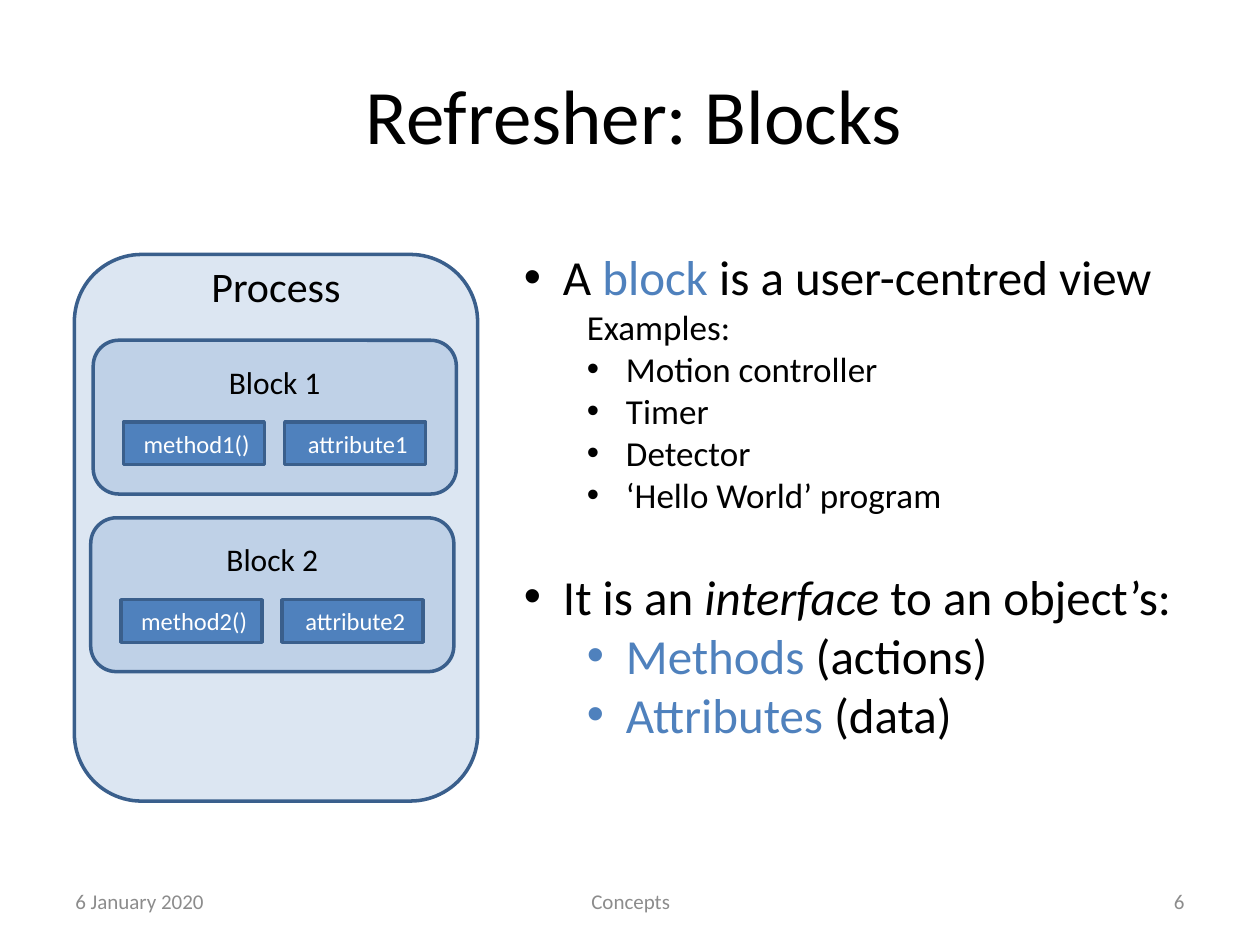
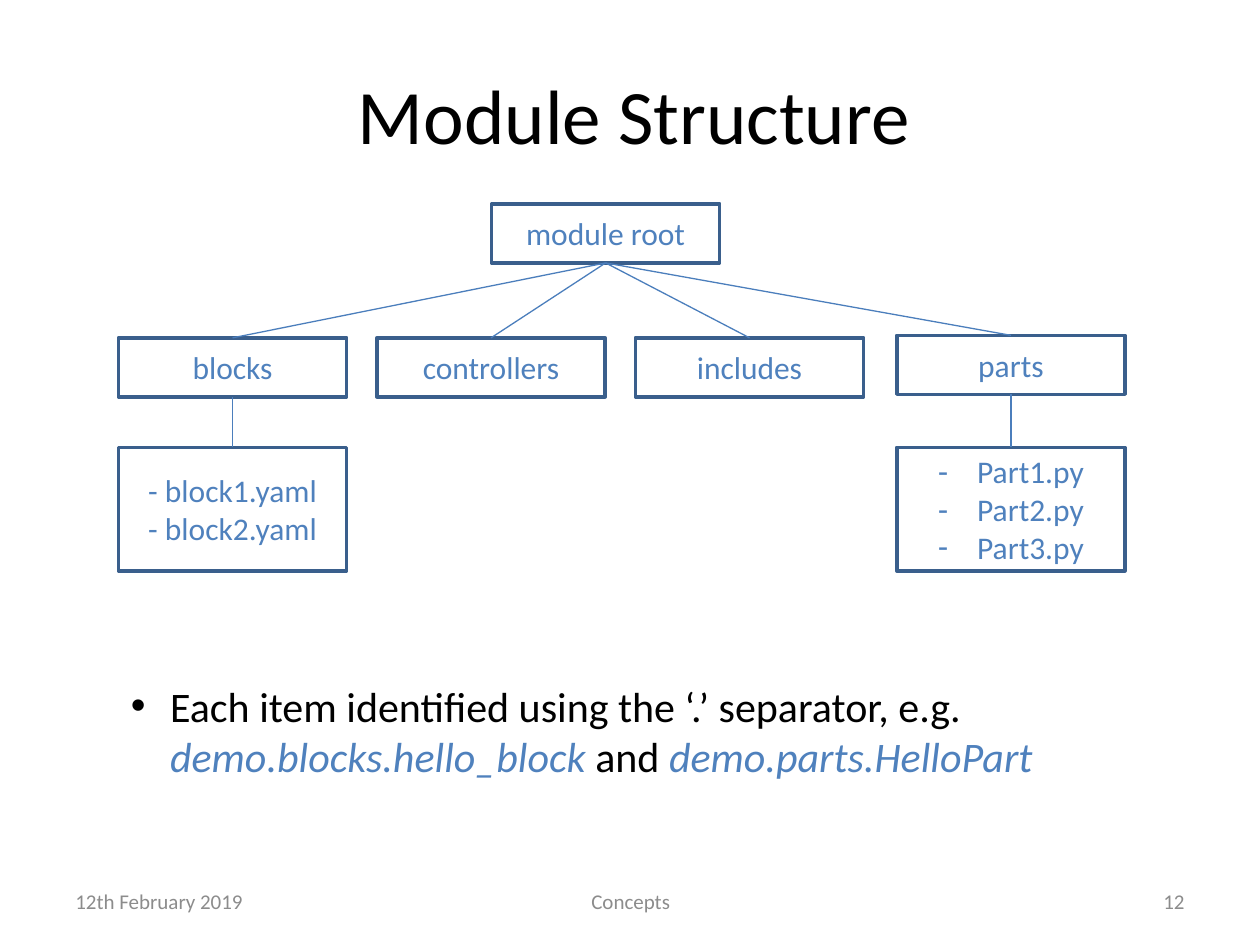
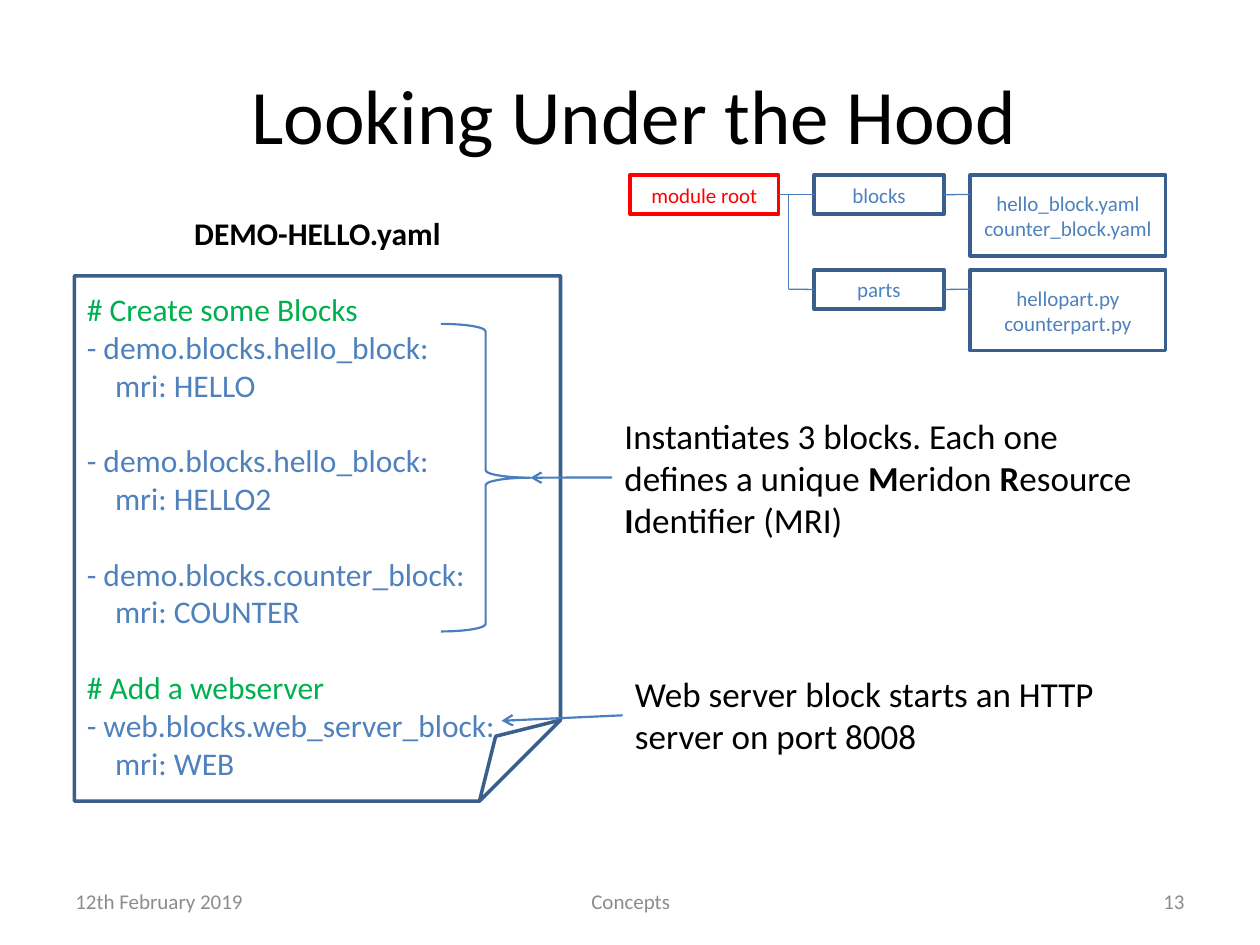
"""Builds three slides on blocks, module structure and a process definition."""
from lxml import etree
from pptx import Presentation
from pptx import util as u
from pptx.dml.color import RGBColor
from pptx.enum import shapes, text
from pptx.oxml.ns import qn

COLORS = {
    "ink": "000000", "accent": "4F81BD", "edge": "3A5F8C", "link": "4B7EBC",
    "pale": "DCE6F2", "white": "FFFFFF", "grey": "8C8C8C", "green": "00B050",
    "red": "FF0000",
}
FONT = "Calibri"
LEFT, CENTER, RIGHT = text.PP_ALIGN.LEFT, text.PP_ALIGN.CENTER, text.PP_ALIGN.RIGHT
TOP, MIDDLE = text.MSO_ANCHOR.TOP, text.MSO_ANCHOR.MIDDLE
RECT = shapes.MSO_SHAPE.RECTANGLE
ROUND = shapes.MSO_SHAPE.ROUNDED_RECTANGLE


def rgb(name):
    """Return the named colour."""
    return RGBColor.from_string(COLORS[name])


def cm(values):
    """Turn numbers into centimetre lengths."""
    return [u.Cm(v) for v in values]


def style_run(r, size, color, bold=False, italic=False):
    """Set the font of a run."""
    f = r.font
    f.name, f.size, f.bold, f.italic = FONT, u.Pt(size), bold, italic
    f.color.rgb = rgb(color)


def add_para(tf, runs, size, color="ink", align=LEFT, left=0, hang=0, bullet=None, before=0):
    """Add a paragraph; runs are strings or (string, a=accent b=bold i=italic)."""
    p = tf.paragraphs[0]
    if p.runs:
        p = tf.add_paragraph()
    p.alignment = align
    p.space_before = u.Pt(before)
    for run in [runs] if isinstance(runs, str) else runs:
        words, flags = (run, "") if isinstance(run, str) else run
        r = p.add_run()
        r.text = words
        style_run(r, size, "accent" if "a" in flags else color, "b" in flags, "i" in flags)
    ppr = p._p.get_or_add_pPr()
    ppr.set("marL", str(u.Cm(left)))
    ppr.set("indent", str(u.Cm(-hang)))
    if bullet:
        etree.SubElement(ppr, qn("a:buFont")).set("typeface", "Arial")
        etree.SubElement(ppr, qn("a:buChar")).set("char", bullet)
    return p


def add_text(s, at, anchor=TOP):
    """Add a wrapping text box."""
    sp = s.shapes.add_textbox(*cm(at))
    sp.text_frame.word_wrap = True
    sp.text_frame.vertical_anchor = anchor
    return sp


def add_box(s, at, kind=RECT, fill=None, alpha=None, edge="edge", anchor=MIDDLE):
    """Add an outlined shape, hollow unless a fill is named."""
    sp = s.shapes.add_shape(kind, *cm(at))
    sp.shadow.inherit = False
    sp.line.color.rgb = rgb(edge)
    sp.line.width = u.Pt(2)
    sp.text_frame.word_wrap = True
    sp.text_frame.vertical_anchor = anchor
    if fill is None:
        sp.fill.background()
        return sp
    sp.fill.solid()
    sp.fill.fore_color.rgb = rgb(fill)
    if alpha:
        clr = sp._element.spPr.find(qn("a:solidFill"))[0]
        etree.SubElement(clr, qn("a:alpha")).set("val", str(alpha * 1000))
    return sp


def add_label_box(s, at, lines, size=18, color="accent", edge="edge", **para):
    """Add a hollow rectangle with centred lines."""
    sp = add_box(s, at, edge=edge)
    for line in lines:
        add_para(sp.text_frame, line, size, color, CENTER, **para)
    return sp


def add_link(s, start, end, width=0.75, arrow=False):
    """Draw a line between ends given as (x, y) or as (shape, side)."""
    cx = s.shapes.add_connector(shapes.MSO_CONNECTOR.STRAIGHT, 0, 0, 0, 0)
    if isinstance(start[0], (int, float)):
        cx.begin_x, cx.begin_y = cm(start)
    else:
        cx.begin_connect(*start)
    if isinstance(end[0], (int, float)):
        cx.end_x, cx.end_y = cm(end)
    else:
        cx.end_connect(*end)
    cx.line.color.rgb = rgb("link")
    cx.line.width = u.Pt(width)
    if arrow:
        etree.SubElement(cx.line._get_or_add_ln(), qn("a:tailEnd")).set("type", "arrow")
    etree.SubElement(cx._element.spPr, qn("a:effectLst"))
    return cx


def add_slide(prs, title, date, number):
    """Add a slide with its title and footer."""
    s = prs.slides.add_slide(prs.slide_layouts[5])
    sp = s.shapes.title
    sp.left, sp.top, sp.width, sp.height = cm((4.29, 0.71, 16.99, 3.18))
    tf = sp.text_frame
    tf.text = title
    tf.vertical_anchor = MIDDLE
    tf.paragraphs[0].alignment = CENTER
    style_run(tf.paragraphs[0].runs[0], 44, "ink")
    footer = ((1.27, 5.92, date, LEFT), (8.69, 8.05, "Concepts", CENTER),
              (18.21, 5.92, number, RIGHT))
    for x, w, words, align in footer:
        sp = add_text(s, (x, 17.65, w, 1.02), MIDDLE)
        add_para(sp.text_frame, words, 12, "grey", align)
    return s


def add_block(s, x, y, number):
    """Add a block with its method and attribute."""
    sp = add_box(s, (x, y, 7.32, 3.1), ROUND, "accent", 20, anchor=TOP)
    sp.text_frame.margin_top = u.Cm(0.3)
    add_para(sp.text_frame, f"Block {number}", 18, align=CENTER)
    for i, member in enumerate((f"method{number}()", f"attribute{number}")):
        sp = add_box(s, (x + 0.61 + 3.25 * i, y + 1.65, 2.84, 0.86), fill="accent")
        sp.text_frame.margin_left = u.Cm(0.36)
        add_para(sp.text_frame, member, 14, "white", CENTER)


def blocks_slide(prs):
    """Show a process with blocks beside their definition."""
    s = add_slide(prs, "Refresher: Blocks", "6 January 2020", "6")
    process = add_box(s, (1.5, 5.13, 8.13, 11.02), ROUND, "pale", anchor=TOP)
    process.text_frame.margin_top = 0
    p = add_para(process.text_frame, "Process", 24, align=CENTER)
    p.line_spacing = 0.7
    add_block(s, 1.88, 6.86, 1)
    add_block(s, 1.83, 10.44, 2)

    tf = add_text(s, (10.31, 4.85, 14.2, 12.4)).text_frame
    outer = dict(left=0.79, hang=0.79, bullet="•")
    inner = dict(left=2.06, hang=0.79, bullet="•")
    add_para(tf, ["A ", ("block", "a"), " is a user-centred view"], 28, **outer)
    add_para(tf, "Examples:", 20, left=1.27)
    for example in ("Motion controller", "Timer", "Detector", "‘Hello World’ program"):
        add_para(tf, example, 20, **inner)
    add_para(tf, ["It is an ", ("interface", "i"), " to an object’s:"], 28, before=29, **outer)
    for member, meaning in (("Methods", " (actions)"), ("Attributes", " (data)")):
        add_para(tf, [(member, "a"), meaning], 28, **inner)


def module_slide(prs):
    """Show the folder tree of a module."""
    s = add_slide(prs, "Module Structure", "12th February 2019", "12")
    w, h = 4.6, 1.19
    root = add_label_box(s, (9.91, 4.11, w, h), ["module root"])
    folders = {}
    for name, x, y in (("blocks", 2.39, 6.81), ("controllers", 7.6, 6.81),
                       ("includes", 12.81, 6.81), ("parts", 18.08, 6.76)):
        folders[name] = add_label_box(s, (x, y, w, h), [name])
        add_link(s, (root, 2), (folders[name], 0))
    yaml = add_label_box(s, (2.39, 9.02, w, 2.49), ["- block1.yaml", "- block2.yaml"])
    python = add_label_box(s, (18.08, 9.02, w, 2.49), [f"Part{i}.py" for i in (1, 2, 3)],
                           left=0.79, hang=0.79, bullet="-")
    add_link(s, (folders["blocks"], 2), (yaml, 0))
    add_link(s, (folders["parts"], 2), (python, 0))

    tf = add_text(s, (2.39, 13.59, 21.31, 2.31)).text_frame
    add_para(tf, ["Each item identified using the ‘.’ separator, e.g. ",
                  ("demo.blocks.hello_block ", "ai"), "and ",
                  ("demo.parts.HelloPart", "ai")], 24, left=0.79, hang=0.79, bullet="•")


def add_yaml_file(s):
    """Add the page that lists the process definition."""
    sp = add_box(s, (1.5, 5.56, 9.8, 10.59), shapes.MSO_SHAPE.FOLDED_CORNER)
    tf = sp.text_frame
    add_para(tf, [("DEMO-HELLO.yaml", "b")], 18, align=CENTER)
    entries = (("# Create some Blocks", "hello_block", "HELLO"), (None, "hello_block", "HELLO2"),
               (None, "counter_block", "COUNTER"), ("# Add a webserver", "web_server_block", "WEB"))
    for comment, block, mri in entries:
        if comment:
            add_para(tf, comment, 18, "green", before=21.6)
        package = "web" if mri == "WEB" else "demo"
        add_para(tf, f"- {package}.blocks.{block}:", 18, "accent", before=0 if comment else 21.6)
        add_para(tf, f"mri: {mri}", 18, "accent", left=0.57)


def add_small_tree(s):
    """Add the small module tree at the top right."""
    root = add_label_box(s, (12.7, 3.53, 3, 0.79), ["module root"], 12, "red", "red")
    branches = (("blocks", 3.53, ["hello_block.yaml", "counter_block.yaml"]),
                ("parts", 5.44, ["hellopart.py counterpart.py"]))
    trunk, folders = 15.9, []
    for name, y, files in branches:
        folder = add_label_box(s, (16.41, y, 2.62, 0.79), [name], 12)
        add_label_box(s, (19.56, y, 3.94, 1.63), files, 12)
        add_link(s, (folder, 3), (19.56, y + 0.39))
        folders.append(folder)
    add_link(s, (root, 3), (folders[0], 1))
    add_link(s, (trunk, 3.92), (trunk, 5.83))
    add_link(s, (trunk, 5.83), (folders[1], 1))


def hood_slide(prs):
    """Explain the definition file of a process."""
    s = add_slide(prs, "Looking Under the Hood", "12th February 2019", "13")
    add_yaml_file(s)
    brace = add_box(s, (8.89, 6.53, 1.8, 6.2), shapes.MSO_SHAPE.RIGHT_BRACE, edge="link")
    brace.line.width = u.Pt(1.25)
    notes = (
        ((12.34, 8.23, 11, 2.79), (10.69, 9.63),
         ["Instantiates 3 blocks. Each one defines a unique ", ("M", "b"), "eridon ",
          ("R", "b"), "esource ", ("I", "b"), "dentifier (MRI)"]),
        ((12.55, 13.44, 10.59, 1.96), (10.11, 14.53),
         "Web server block starts an HTTP server on port 8008"),
    )
    for at, target, words in notes:
        sp = add_text(s, at)
        add_para(sp.text_frame, words, 20)
        add_link(s, (sp, 1), target, 1.25, True)
    add_small_tree(s)


def main():
    """Build and save the slides."""
    prs = Presentation()
    prs.slide_width, prs.slide_height = cm((25.4, 19.05))
    blocks_slide(prs)
    module_slide(prs)
    hood_slide(prs)
    prs.save("out.pptx")


if __name__ == "__main__":
    main()
